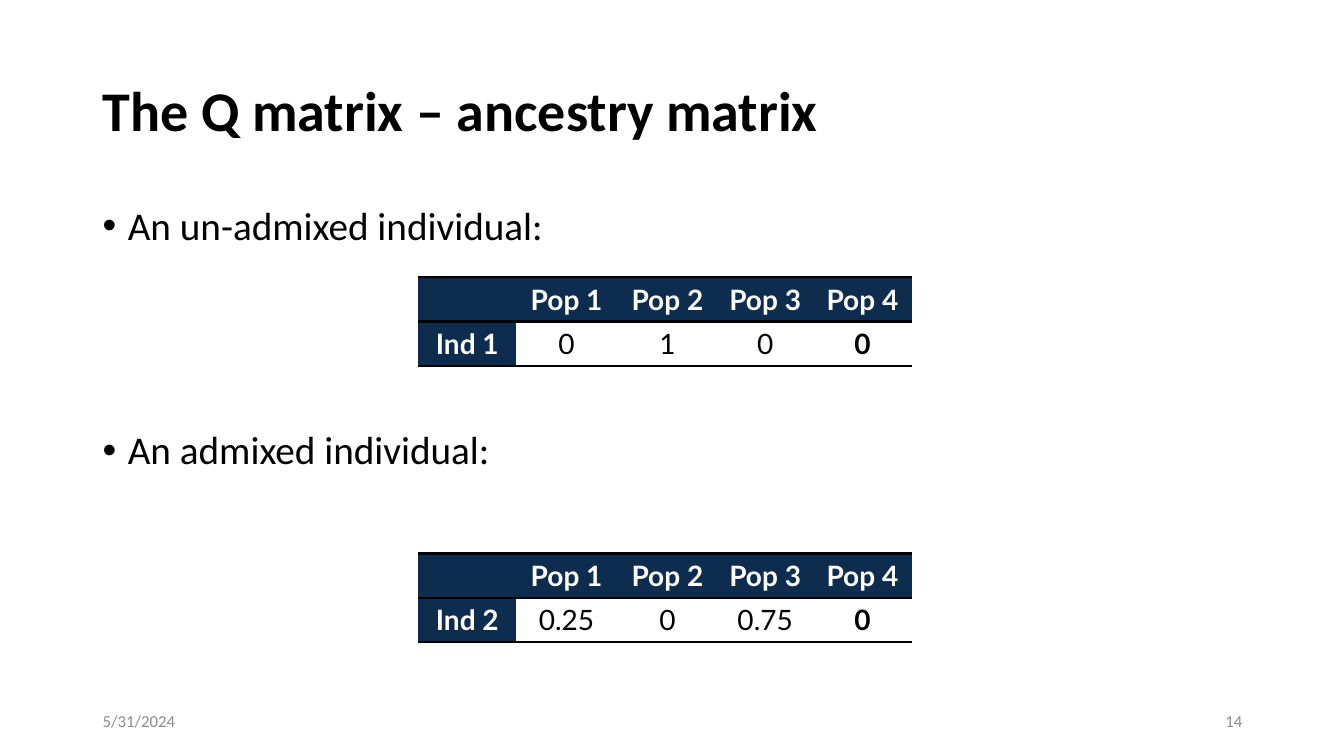
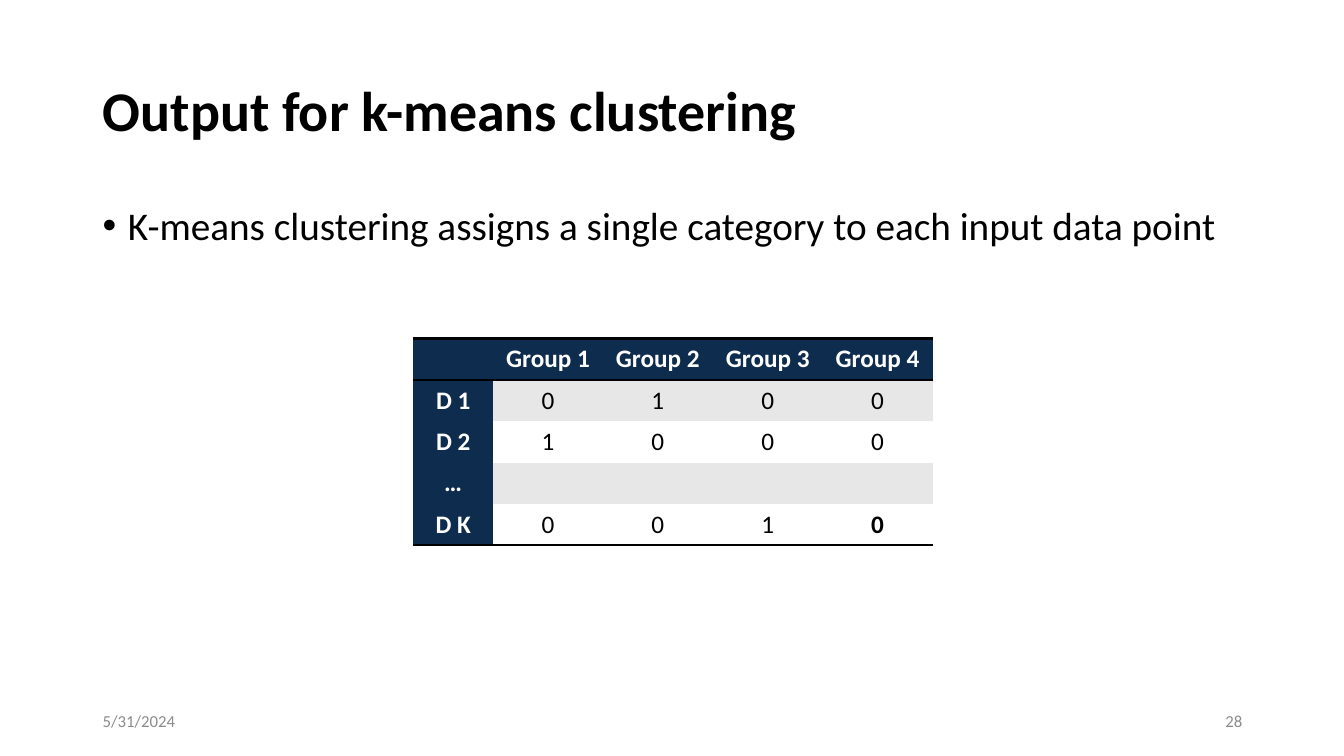
"""Build two slides on ancestry matrices and k-means output."""
from lxml.etree import SubElement
from pptx import Presentation
from pptx.dml.color import RGBColor
from pptx.enum.text import MSO_ANCHOR as Anchor, PP_ALIGN as Align
from pptx.oxml.ns import qn
from pptx.util import Inches, Pt

COLORS = {"text": "000000", "footer": "8C8C8C", "header": "0E2C4D",
          "header_text": "FFFFFF", "band": "E7E7E7", "plain": "FFFFFF"}
FONT = "Calibri"
TABLE_FONT = "Lato"
LEFT, CONTENT_WIDTH = 0.92, 11.5
FOOTER_WIDTH = 3
DATE = "5/31/2024"
BORDER_WIDTH = 2
POPULATIONS = ["", "Pop 1", "Pop 2", "Pop 3", "Pop 4"]
POPULATION_WIDTHS = [0.97, 1, 1, 0.94, 0.99]


def color(name):
    """Return a palette colour."""
    return RGBColor.from_string(COLORS[name])


def format_runs(paragraph, size, color_name="text", bold=False, font_name=FONT):
    """Format every run of a paragraph."""
    for run in paragraph.runs:
        run.font.name = font_name
        run.font.size = Pt(size)
        run.font.bold = bold
        run.font.color.rgb = color(color_name)


def add_text_box(slide, left, top, width, height, anchor):
    """Add a wrapping text box and return its text frame."""
    shape = slide.shapes.add_textbox(Inches(left), Inches(top), Inches(width), Inches(height))
    text_frame = shape.text_frame
    text_frame.word_wrap = True
    text_frame.vertical_anchor = anchor
    return text_frame


def add_footer(slide, left, text, alignment):
    """Add one footer text."""
    text_frame = add_text_box(slide, left, 6.95, FOOTER_WIDTH, 0.4, Anchor.MIDDLE)
    text_frame.text = text
    paragraph = text_frame.paragraphs[0]
    paragraph.alignment = alignment
    format_runs(paragraph, 12, "footer")


def add_titled_slide(presentation, title, number):
    """Add a slide with its title, date and number."""
    slide = presentation.slides.add_slide(presentation.slide_layouts[5])
    shape = slide.shapes.title
    shape.left, shape.top = Inches(LEFT), Inches(0.4)
    shape.width, shape.height = Inches(CONTENT_WIDTH), Inches(1.45)
    shape.text_frame.text = title
    shape.text_frame.vertical_anchor = Anchor.MIDDLE
    paragraph = shape.text_frame.paragraphs[0]
    paragraph.alignment = Align.LEFT
    paragraph.line_spacing = 0.9
    format_runs(paragraph, 40, bold=True)
    add_footer(slide, LEFT, DATE, Align.LEFT)
    add_footer(slide, LEFT + CONTENT_WIDTH - FOOTER_WIDTH, str(number), Align.RIGHT)
    return slide


def add_bullets(slide, texts, gap=0):
    """Add bulleted paragraphs separated by a gap in points."""
    text_frame = add_text_box(slide, LEFT, 2, CONTENT_WIDTH, 4.76, Anchor.TOP)
    for index, text in enumerate(texts):
        paragraph = text_frame.add_paragraph() if index else text_frame.paragraphs[0]
        paragraph.text = text
        properties = paragraph._p.get_or_add_pPr()
        properties.set("marL", str(Inches(0.25)))
        properties.set("indent", str(-Inches(0.25)))
        SubElement(properties, qn("a:buFont"), typeface="Arial")
        SubElement(properties, qn("a:buChar"), char="•")
        paragraph.line_spacing = 0.9
        paragraph.space_before = Pt(gap if index else 0)
        format_runs(paragraph, 28)


def set_borders(cell, ruled_sides):
    """Draw the ruled sides of a cell and clear the others."""
    properties = cell._tc.get_or_add_tcPr()
    for side in "LRTB":
        line = SubElement(properties, qn(f"a:ln{side}"), w=str(Pt(BORDER_WIDTH)))
        if side in ruled_sides:
            fill = SubElement(line, qn("a:solidFill"))
            SubElement(fill, qn("a:srgbClr"), val=COLORS["text"])
        else:
            SubElement(line, qn("a:noFill"))


def add_matrix(slide, left, top, widths, row_height, rows, size, font_name=FONT, banded=False):
    """Add a matrix with a dark header row and column."""
    frame = slide.shapes.add_table(len(rows), len(widths), Inches(left), Inches(top),
                                   Inches(sum(widths)), Inches(row_height * len(rows)))
    table = frame.table
    table.first_row = table.horz_banding = False
    for column, width in zip(table.columns, widths):
        column.width = Inches(width)
    last_row, last_column = len(rows) - 1, len(widths) - 1
    for row_index, values in enumerate(rows):
        table.rows[row_index].height = Inches(row_height)
        ruled_sides = ("T" if row_index < 2 else "") + ("B" if row_index in (0, last_row) else "")
        body_fill = "band" if banded and row_index % 2 else "plain"
        for column_index, value in enumerate(values):
            cell = table.cell(row_index, column_index)
            is_header = row_index == 0 or column_index == 0
            is_last = (row_index, column_index) == (last_row, last_column)
            set_borders(cell, ruled_sides)
            cell.fill.solid()
            cell.fill.fore_color.rgb = color("header" if is_header else body_fill)
            cell.vertical_anchor = Anchor.MIDDLE
            cell.text_frame.text = value
            paragraph = cell.text_frame.paragraphs[0]
            paragraph.alignment = Align.CENTER
            format_runs(paragraph, size, "header_text" if is_header else "text",
                        is_header or is_last, font_name)


def add_ancestry_slide(presentation):
    """Add the Q matrix slide."""
    slide = add_titled_slide(presentation, "The Q matrix – ancestry matrix", 14)
    add_bullets(slide, ["An un-admixed individual:", "An admixed individual:"], gap=130)
    individuals = [(2.75, ["Ind 1", "0", "1", "0", "0"]),
                   (5.49, ["Ind 2", "0.25", "0", "0.75", "0"])]
    for top, values in individuals:
        add_matrix(slide, 4.15, top, POPULATION_WIDTHS, 0.44, [POPULATIONS, values],
                   20, TABLE_FONT)


def add_clustering_slide(presentation):
    """Add the k-means output slide."""
    slide = add_titled_slide(presentation, "Output for k-means clustering", 28)
    add_bullets(slide, ["K-means clustering assigns a single category to each input data point"])
    rows = [["", "Group 1", "Group 2", "Group 3", "Group 4"],
            ["D 1", "0", "1", "0", "0"],
            ["D 2", "1", "0", "0", "0"],
            ["…", "", "", "", ""],
            ["D K", "0", "0", "1", "0"]]
    add_matrix(slide, 4.1, 3.36, [0.79] + [1.09] * 4, 0.41, rows, 18, banded=True)


def main():
    """Build and save the presentation."""
    presentation = Presentation()
    presentation.slide_width, presentation.slide_height = Inches(13.33), Inches(7.5)
    add_ancestry_slide(presentation)
    add_clustering_slide(presentation)
    presentation.save("out.pptx")


if __name__ == "__main__":
    main()
